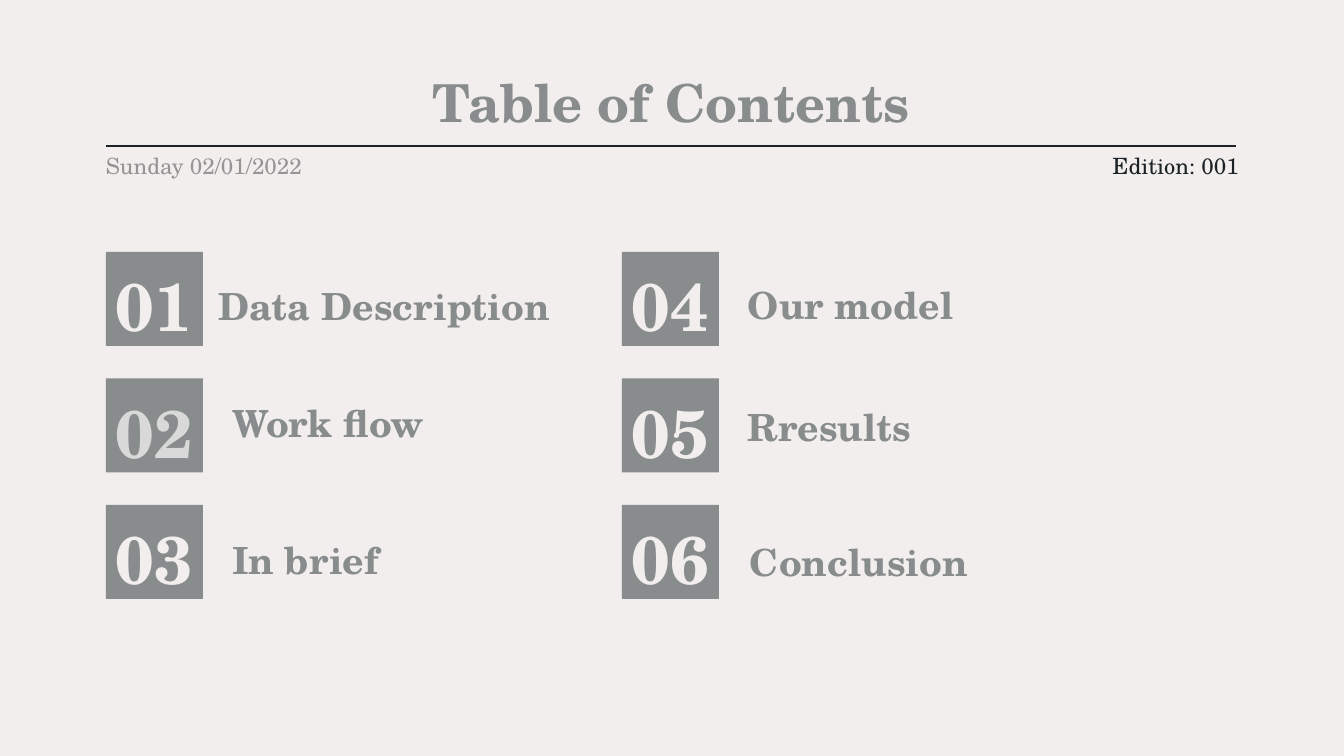
import pptx
import pptx.util
from pptx.dml.color import RGBColor
from pptx.enum.shapes import MSO_CONNECTOR, MSO_SHAPE
from pptx.enum.text import MSO_ANCHOR, MSO_AUTO_SIZE, PP_ALIGN
from pptx.oxml.ns import qn
import lxml.etree

# Content: number, label, label left and top in px
COLUMNS = [
    [("01", "Data Description", 218, 286),
     ("02", "Work flow", 232, 403),
     ("03", "In brief", 232, 540)],
    [("04", "Our model", 748, 285),
     ("05", "Rresults", 748, 407),
     ("06", "Conclusion", 750, 542)],
]
TITLE = "Table of Contents"
DATE = "Sunday 02/01/2022"
EDITION = "Edition: 001"

# Style
FONT = "TeX Gyre Schola"
PAPER = RGBColor(0xF1, 0xEE, 0xED)
INK = RGBColor(0x1C, 0x22, 0x26)
GREY = RGBColor(0x88, 0x8C, 0x8C)
DATE_GREY = RGBColor(0x95, 0x95, 0x95)
PALE = RGBColor(0xD9, 0xD9, 0xD9)
NUMBER_COLORS = {"02": PALE}

# Layout in px
PAGE_WIDTH, PAGE_HEIGHT = 1344, 756
MARGIN, RULE_RIGHT, RULE_TOP = 106, 1236, 146
COLUMN_LEFTS = [MARGIN, 622]
TILE_TOP, TILE_PITCH = 252, 126.5
TILE_WIDTH, TILE_HEIGHT = 97, 94
LABEL_WIDTH, LABEL_HEIGHT = 390, 40
EMU_PER_PX = 914400 * 10 / PAGE_WIDTH


def px(length):
    return pptx.util.Emu(round(length * EMU_PER_PX))


def write(box, text, size, color=GREY, bold=True, align=PP_ALIGN.LEFT,
          spacing=1.0, inset=0):
    frame = box.text_frame
    frame.word_wrap = True
    frame.auto_size = MSO_AUTO_SIZE.NONE
    frame.vertical_anchor = MSO_ANCHOR.MIDDLE
    frame.margin_left = frame.margin_right = px(inset)
    frame.margin_top = frame.margin_bottom = px(inset)
    para = frame.paragraphs[0]
    para.alignment = align
    para.line_spacing = spacing
    span = para.add_run()
    span.text = text
    span.font.name = FONT
    span.font.size = pptx.util.Pt(size)
    span.font.bold = bold
    span.font.color.rgb = color


def add_text(page, left, top, width, height, text, size, **style):
    box = page.shapes.add_textbox(px(left), px(top), px(width), px(height))
    write(box, text, size, **style)


deck = pptx.Presentation()
deck.slide_width, deck.slide_height = px(PAGE_WIDTH), px(PAGE_HEIGHT)
page = deck.slides.add_slide(deck.slide_layouts.get_by_name("Title Only"))
page.background.fill.solid()
page.background.fill.fore_color.rgb = PAPER

# Heading rule
rule = page.shapes.add_connector(MSO_CONNECTOR.STRAIGHT, px(MARGIN),
                                 px(RULE_TOP), px(RULE_RIGHT), px(RULE_TOP))
rule.line.color.rgb = INK
rule.line.width = pptx.util.Pt(1.5)
lxml.etree.SubElement(rule._element.spPr, qn("a:effectLst"))

# Title, date and edition
title = page.shapes.title
title.left, title.top, title.width, title.height = map(px, (235, 71, 872, 62))
write(title, TITLE, 28, align=PP_ALIGN.CENTER, inset=13)
add_text(page, MARGIN, 153, 227, 26, DATE, 12, color=DATE_GREY, bold=False)
add_text(page, 1012, 153, 227, 26, EDITION, 12, color=INK, bold=False,
         align=PP_ALIGN.RIGHT)

# Numbered tiles with their labels
for column_left, entries in zip(COLUMN_LEFTS, COLUMNS):
    for row, (number, label, label_left, label_top) in enumerate(entries):
        tile = page.shapes.add_shape(
            MSO_SHAPE.RECTANGLE, px(column_left),
            px(TILE_TOP + row * TILE_PITCH), px(TILE_WIDTH), px(TILE_HEIGHT))
        tile.shadow.inherit = False
        tile.fill.solid()
        tile.fill.fore_color.rgb = GREY
        tile.line.fill.background()
        write(tile, number, 36, color=NUMBER_COLORS.get(number, PAPER),
              align=PP_ALIGN.CENTER, spacing=1.15)
        add_text(page, label_left, label_top, LABEL_WIDTH, LABEL_HEIGHT,
                 label, 20)

deck.save("out.pptx")
